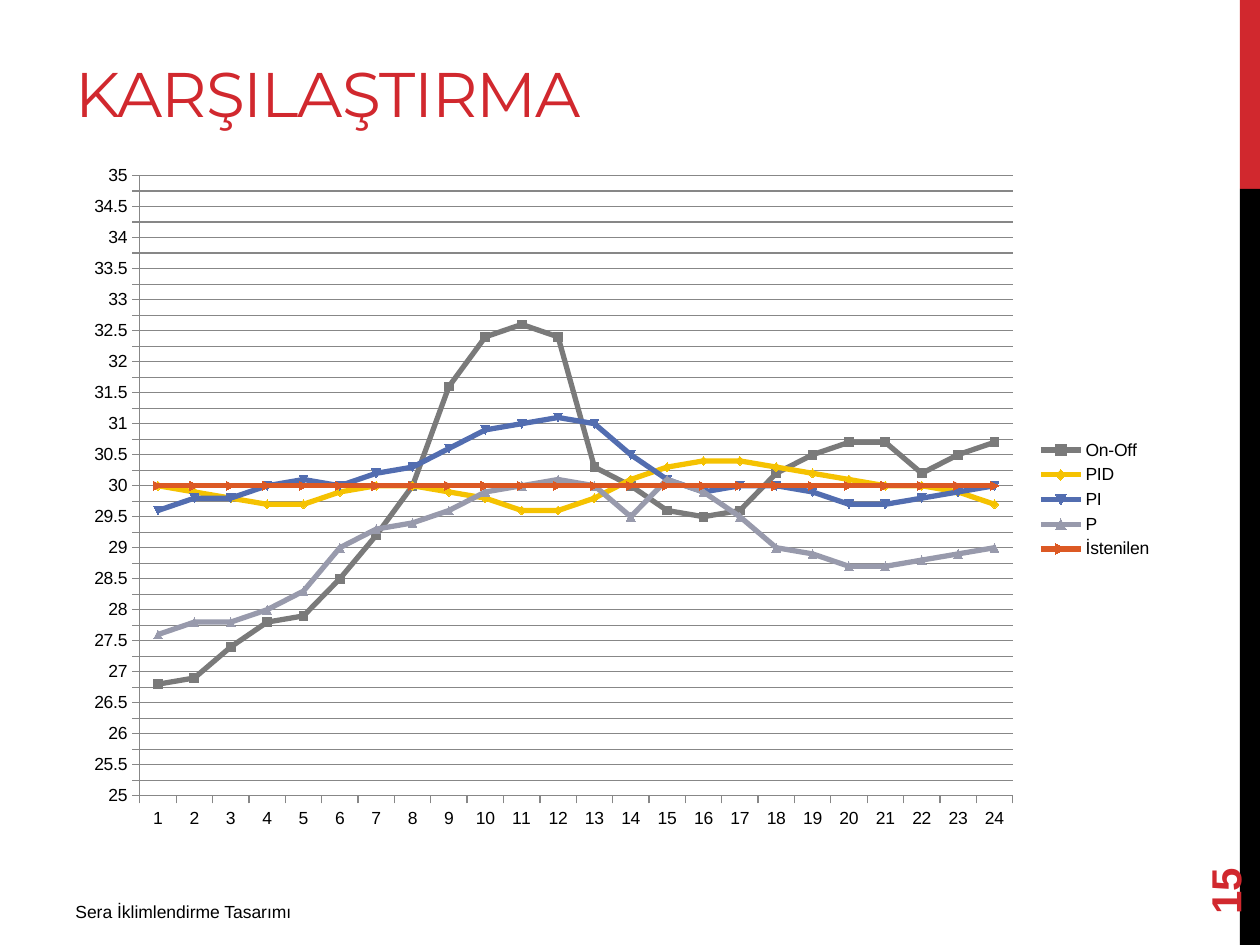
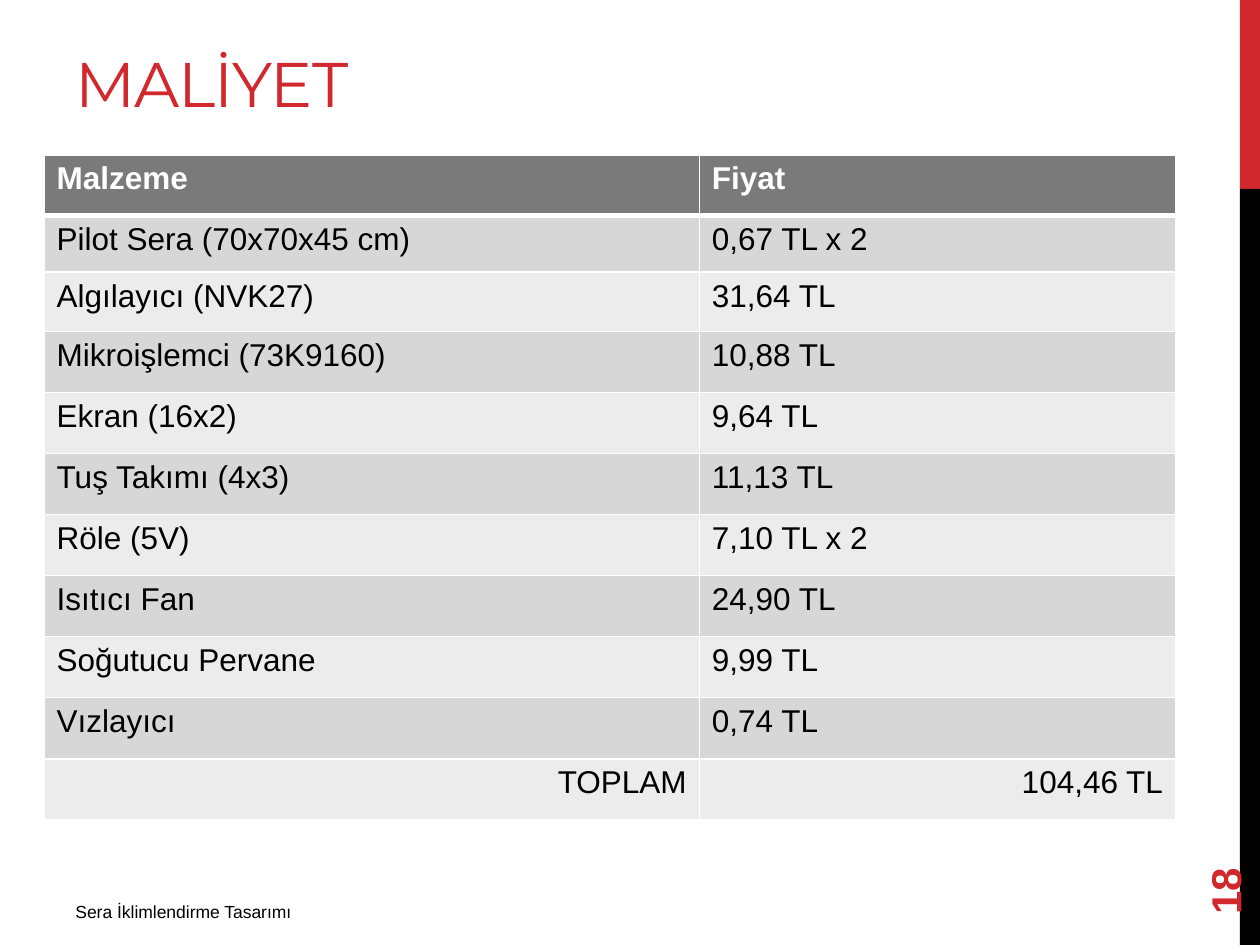
from lxml import etree
from pptx import Presentation
from pptx.chart.data import CategoryChartData
from pptx.dml.color import RGBColor
from pptx.enum.chart import XL_CHART_TYPE, XL_LEGEND_POSITION, XL_TICK_MARK
from pptx.enum.shapes import MSO_SHAPE
from pptx.enum.text import MSO_ANCHOR, MSO_AUTO_SIZE, PP_ALIGN
from pptx.oxml import parse_xml
from pptx.oxml.ns import nsdecls, qn
from pptx.util import Inches, Pt

RED, BLACK, WHITE = "D1282E", "000000", "FFFFFF"
HEADER_GREY, DARK_ROW, LIGHT_ROW = "7A7A7A", "D7D7D7", "ECECEC"
GRID_GREY = "878787"
BODY_FONT, TITLE_FONT = "Arial", "Montserrat"
FOOTER = "Sera İklimlendirme Tasarımı"

TEMPERATURES = {
    "On-Off": ("7A7A7A", [26.8, 26.9, 27.4, 27.8, 27.9, 28.5, 29.2, 30, 31.6, 32.4, 32.6, 32.4,
                          30.3, 30, 29.6, 29.5, 29.6, 30.2, 30.5, 30.7, 30.7, 30.2, 30.5, 30.7]),
    "PID": ("F5C201", [30, 29.9, 29.8, 29.7, 29.7, 29.9, 30, 30, 29.9, 29.8, 29.6, 29.6,
                       29.8, 30.1, 30.3, 30.4, 30.4, 30.3, 30.2, 30.1, 30, 30, 29.9, 29.7]),
    "PI": ("526DB0", [29.6, 29.8, 29.8, 30, 30.1, 30, 30.2, 30.3, 30.6, 30.9, 31, 31.1,
                      31, 30.5, 30.1, 29.9, 30, 30, 29.9, 29.7, 29.7, 29.8, 29.9, 30]),
    "P": ("989AAC", [27.6, 27.8, 27.8, 28, 28.3, 29, 29.3, 29.4, 29.6, 29.9, 30, 30.1,
                     30, 29.5, 30.1, 29.9, 29.5, 29, 28.9, 28.7, 28.7, 28.8, 28.9, 29]),
    "İstenilen": ("DC5924", [30] * 24),
}

COSTS = [
    ("Malzeme", "Fiyat"),
    ("Pilot Sera (70x70x45 cm)", "0,67 TL x 2"),
    ("Algılayıcı (NVK27)", "31,64 TL"),
    ("Mikroişlemci (73K9160)", "10,88 TL"),
    ("Ekran (16x2)", "9,64 TL"),
    ("Tuş Takımı (4x3)", "11,13 TL"),
    ("Röle (5V)", "7,10 TL x 2"),
    ("Isıtıcı Fan", "24,90 TL"),
    ("Soğutucu Pervane", "9,99 TL"),
    ("Vızlayıcı", "0,74 TL"),
    ("TOPLAM", "104,46 TL"),
]


def color(value):
    return RGBColor.from_string(value)


def set_font(font, size, value, name=BODY_FONT, bold=False):
    font.name, font.size, font.bold = name, Pt(size), bold
    font.color.rgb = color(value)


def set_line(line, value, width):
    line.color.rgb = color(value)
    line.width = Pt(width)


def add_band(page, top, height, value):
    band = page.shapes.add_shape(MSO_SHAPE.RECTANGLE, Inches(9.84), Inches(top),
                                 Inches(0.16), Inches(height))
    band.shadow.inherit = False
    band.fill.solid()
    band.fill.fore_color.rgb = color(value)
    band.line.fill.background()


def add_label(page, box, text, size, value, bold=False):
    label = page.shapes.add_textbox(*map(Inches, box))
    label.text_frame.word_wrap = True
    para = label.text_frame.paragraphs[0]
    para.text = text
    set_font(para.font, size, value, bold=bold)
    return label


def add_page(deck, title, title_box, number):
    """Add a slide with its title, side bands, footer and slide number."""
    page = deck.slides.add_slide(deck.slide_layouts[5])
    add_band(page, 0, 1.5, RED)
    add_band(page, 1.5, 6, BLACK)

    heading = page.shapes.title
    heading.left, heading.top, heading.width, heading.height = map(Inches, title_box)
    frame = heading.text_frame
    frame.auto_size = MSO_AUTO_SIZE.NONE
    frame.vertical_anchor = MSO_ANCHOR.BOTTOM
    para = frame.paragraphs[0]
    para.text = title
    para.alignment = PP_ALIGN.LEFT
    set_font(para.font, 36, RED, TITLE_FONT)
    para.runs[0]._r.get_or_add_rPr().set("spc", "-60")

    add_label(page, (0.5, 7.1, 3.75, 0.31), FOOTER, 10, BLACK)
    number_label = add_label(page, (9, 6.44, 1.44, 0.4), number, 24, RED, bold=True)
    number_label.rotation = 270
    number_label.text_frame.vertical_anchor = MSO_ANCHOR.MIDDLE
    return page


def place_plot(chart, **fractions):
    """Fix the inner plot area as fractions of the chart's box."""
    plot_area = chart._chartSpace.find(".//" + qn("c:plotArea"))
    for layout in plot_area.findall(qn("c:layout")):
        plot_area.remove(layout)
    layout = parse_xml(f"<c:layout {nsdecls('c')}><c:manualLayout>"
                       '<c:layoutTarget val="inner"/><c:xMode val="edge"/><c:yMode val="edge"/>'
                       "</c:manualLayout></c:layout>")
    for name, fraction in fractions.items():
        etree.SubElement(layout[0], qn(f"c:{name}")).set("val", str(fraction))
    plot_area.insert(0, layout)


def add_temperature_chart(page, box):
    data = CategoryChartData()
    data.categories = [str(hour) for hour in range(1, 25)]
    for name, (_, values) in TEMPERATURES.items():
        data.add_series(name, values)
    chart = page.shapes.add_chart(XL_CHART_TYPE.LINE_MARKERS, *map(Inches, box), data).chart
    set_font(chart.font, 10, BLACK)
    chart.has_title = False
    chart.has_legend = True
    chart.legend.position = XL_LEGEND_POSITION.RIGHT
    chart.legend.include_in_layout = False
    place_plot(chart, x=0.06, y=0.03, w=0.8, h=0.9)

    value_axis = chart.value_axis
    value_axis.minimum_scale, value_axis.maximum_scale = 25, 35
    value_axis.major_unit = 0.25
    value_axis.has_major_gridlines = True
    set_line(value_axis.major_gridlines.format.line, GRID_GREY, 0.75)
    for axis in (value_axis, chart.category_axis):
        axis.major_tick_mark = XL_TICK_MARK.OUTSIDE
        set_line(axis.format.line, GRID_GREY, 0.75)

    plot = chart.plots[0]
    plot.vary_by_categories = False
    for series, (value, _) in zip(plot.series, TEMPERATURES.values()):
        series.smooth = False
        set_line(series.format.line, value, 3)
        marker = series.marker
        marker.size = 5
        marker.format.fill.solid()
        marker.format.fill.fore_color.rgb = color(value)
        set_line(marker.format.line, value, 0.75)


def set_borders(cell, top, bottom):
    """Draw white borders; top and bottom are widths in points."""
    properties = cell._tc.get_or_add_tcPr()
    sides = {"L": 1, "R": 1, "T": top, "B": bottom}
    for position, (side, width) in enumerate(sides.items()):
        properties.insert(position, parse_xml(
            f'<a:ln{side} {nsdecls("a")} w="{Pt(width)}"><a:solidFill>'
            f'<a:srgbClr val="{WHITE}"/></a:solidFill></a:ln{side}>'))


def add_cost_table(page, box):
    first_heights = [0.48, 0.45, 0.47]
    other_height = (box[3] - sum(first_heights)) / (len(COSTS) - len(first_heights))
    heights = first_heights + [other_height] * (len(COSTS) - len(first_heights))
    table = page.shapes.add_table(len(COSTS), 2, *map(Inches, box)).table
    for column, width in zip(table.columns, (5.2, 3.78)):
        column.width = Inches(width)

    for index, (row, height, texts) in enumerate(zip(table.rows, heights, COSTS)):
        row.height = Inches(height)
        is_header = index == 0
        fill = HEADER_GREY if is_header else (LIGHT_ROW, DARK_ROW)[index % 2]
        for cell, text in zip(row.cells, texts):
            cell.fill.solid()
            cell.fill.fore_color.rgb = color(fill)
            set_borders(cell, top=3 if index == 1 else 1, bottom=3 if is_header else 1)
            para = cell.text_frame.paragraphs[0]
            para.text = text
            set_font(para.font, 18, WHITE if is_header else BLACK, bold=is_header)
            if index == len(COSTS) - 1:
                para.alignment = PP_ALIGN.RIGHT


def main():
    deck = Presentation()
    deck.slide_width, deck.slide_height = Inches(10), Inches(7.5)
    comparison = add_page(deck, "KARŞILAŞTIRMA", (0.5, 0.17, 6.33, 0.91), "15")
    add_temperature_chart(comparison, (0.59, 1.23, 8.66, 5.47))
    cost = add_page(deck, "MALİYET", (0.5, 0.17, 7.49, 0.83), "18")
    add_cost_table(cost, (0.35, 1.23, 8.98, 5.28))
    deck.save("out.pptx")


if __name__ == "__main__":
    main()
